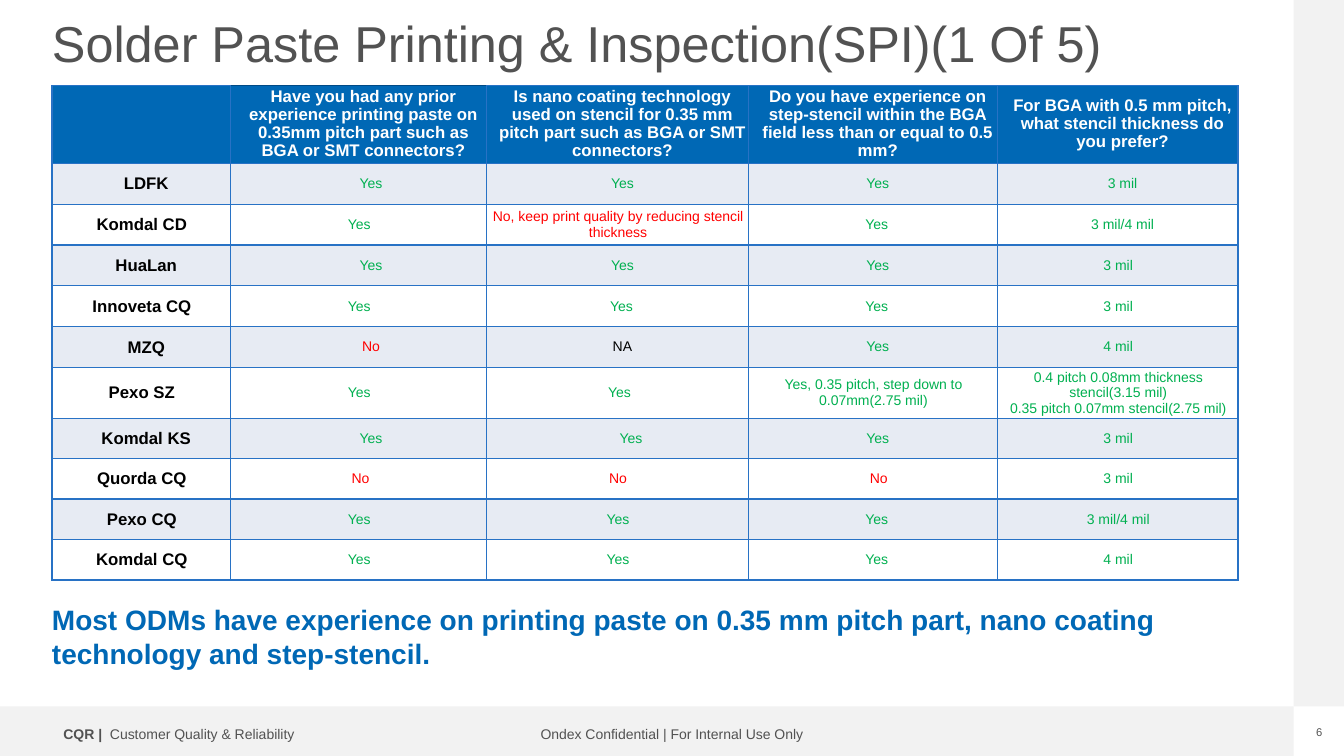
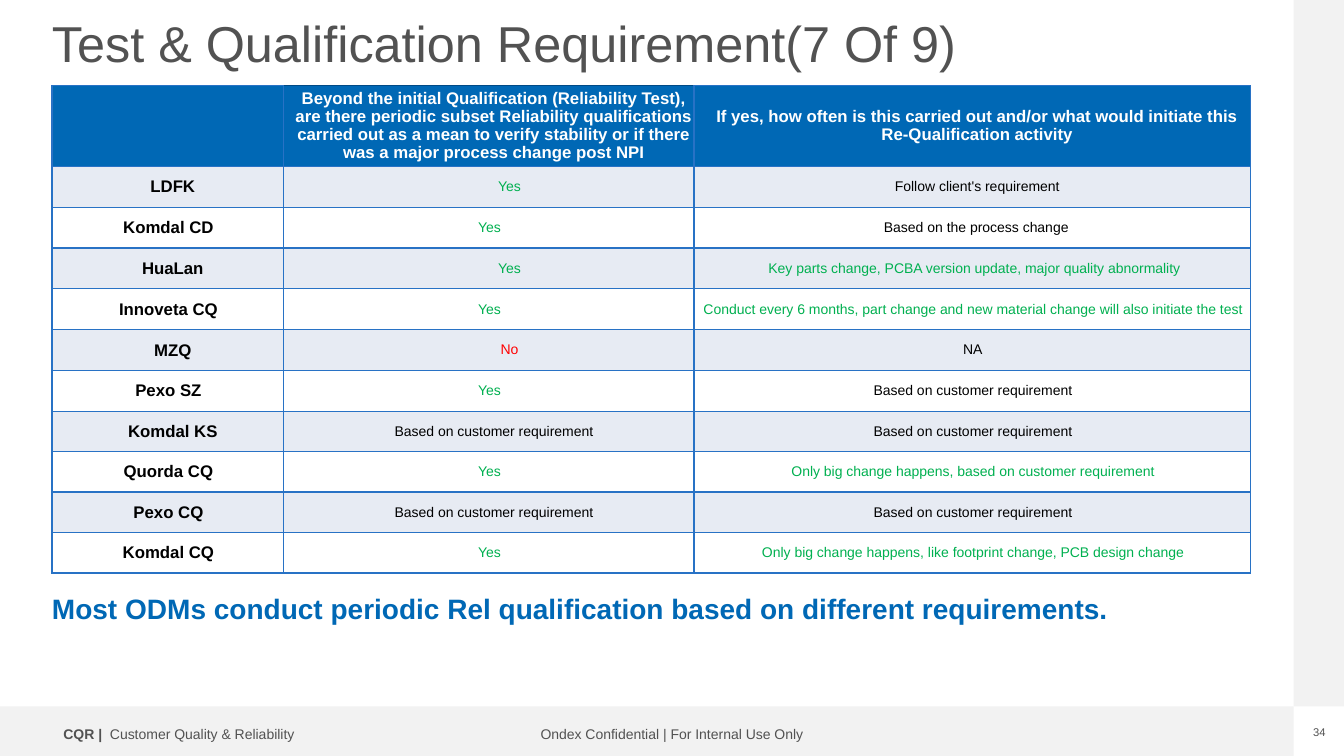
from lxml import etree
from pptx import Presentation
from pptx import util as u
from pptx.dml.color import RGBColor
from pptx.enum import shapes, text
from pptx.oxml import ns

HUES = {
    "ink": "525252", "band": "F2F2F2", "blue": "0068B5", "navy": "004A86",
    "edge": "2872C5", "tint": "E7EBF3", "white": "FFFFFF",
    "k": "000000", "g": "00B050", "r": "FF0000",
}
LEFT = 1.31     # shared left edge of title, table and summary
WIDE, SLIM = 0.25, 0.03     # usual left cell margins


def rgb(hue):
    return RGBColor.from_string(HUES[hue])


class Deck:
    """Holds the style and the current slide."""

    face = "Arial"

    def __init__(self):
        self.prs = Presentation()
        self.prs.slide_width = u.Cm(33.87)
        self.prs.slide_height = u.Cm(19.05)
        self.slide = None

    def style(self, para, hue, **form):
        for run in para.runs:
            for key, val in {"name": self.face, **form}.items():
                setattr(run.font, key, val)
            run.font.color.rgb = rgb(hue)

    def band(self, *box):
        rect = self.slide.shapes.add_shape(
            shapes.MSO_SHAPE.RECTANGLE, *map(u.Cm, box))
        rect.shadow.inherit = False
        rect.fill.solid()
        rect.fill.fore_color.rgb = rgb("band")
        rect.line.fill.background()

    def label(self, box, runs, size, hue="ink", wrap=True, line=1.0,
              align="LEFT"):
        """Add a text box; runs are (words, bold) pairs."""
        frame = self.slide.shapes.add_textbox(*map(u.Cm, box)).text_frame
        form = {"word_wrap": wrap, "margin_left": 0, "margin_right": 0,
                "margin_top": 0, "margin_bottom": 0}
        for key, val in form.items():
            setattr(frame, key, val)
        para = frame.paragraphs[0]
        para.alignment = text.PP_ALIGN[align]
        para.line_spacing = line
        for words, bold in runs:
            run = para.add_run()
            run.text = words
            run.font.bold = bold
        self.style(para, hue, size=u.Pt(size))

    def page(self, title, num):
        """Start a slide with its title, bands and footer."""
        self.slide = self.prs.slides.add_slide(self.prs.slide_layouts[6])
        self.band(0, 17.8, 32.6, 1.25)
        self.band(32.6, 0, 1.27, 17.8)
        foot = {"size": 10, "wrap": False, "line": 0.9}
        self.label((11.93, 18.34, 10, 0.4),
                   [("Ondex Confidential | For Internal Use Only", False)],
                   align="CENTER", **foot)
        self.label((1.6, 18.34, 8, 0.4),
                   [("CQR | ", True), (" Customer Quality & Reliability", False)],
                   **foot)
        self.label((32.75, 18.29, 1, 0.33), [(num, False)], 8,
                   wrap=False, align="CENTER")
        self.label((LEFT, 0.48, 30.58, 2.64), [(title, False)], 36, line=0.9)

    def close(self, top, words):
        self.label((LEFT, top, 30.58, 1.8), [(words, True)], 20, "blue")

    def edge(self, cell, top):
        props = cell._tc.get_or_add_tcPr()
        for side in "LRTB":
            line = etree.SubElement(props, ns.qn("a:ln" + side), w="12700")
            fill = etree.SubElement(line, ns.qn("a:solidFill"))
            hue = top if side == "T" else "edge"
            etree.SubElement(fill, ns.qn("a:srgbClr"), val=HUES[hue])

    def cell(self, cell, words, pad, fill, hue, top="edge", line=1.0, **form):
        self.edge(cell, top)
        cell.fill.solid()
        cell.fill.fore_color.rgb = rgb(fill)
        rule = {"margin_left": u.Cm(pad), "margin_right": 0, "margin_top": 0,
                "margin_bottom": 0, "vertical_anchor": text.MSO_ANCHOR.MIDDLE}
        for key, val in rule.items():
            setattr(cell, key, val)
        cell.text_frame.text = words
        for para in cell.text_frame.paragraphs:
            para.alignment = text.PP_ALIGN.CENTER
            para.line_spacing = line
            self.style(para, hue, **form)

    def table(self, cols, highs, heads, rows):
        """Add a table; a row is (left margins, answer hues, words)."""
        grid = self.slide.shapes.add_table(
            len(highs), len(cols), u.Cm(LEFT), u.Cm(2.16),
            u.Cm(sum(cols)), u.Cm(sum(highs))).table
        grid.first_row = grid.horz_banding = False
        for col, wide in zip(grid.columns, cols):
            col.width = u.Cm(wide)
        for row, high in zip(grid.rows, highs):
            row.height = u.Cm(high)
        # Header
        for c, words in enumerate(["", *heads]):
            self.cell(grid.cell(0, c), words, WIDE, "blue", "white",
                      top="navy" if c == 1 else "edge", line=0.96,
                      size=u.Pt(12), bold=True)
        # Makers and answers
        for r, (pads, hues, words) in enumerate(rows, 1):
            fill = "tint" if r % 2 else "white"
            for c, (pad, hue, word) in enumerate(zip(pads, "k" + hues, words)):
                self.cell(grid.cell(r, c), word, pad, fill, hue,
                          size=u.Pt(10 if c else 12), bold=c == 0)


MAKERS = ["LDFK", "Komdal CD", "HuaLan", "Innoveta CQ", "MZQ", "Pexo SZ",
          "Komdal KS", "Quorda CQ", "Pexo CQ", "Komdal CQ"]
ASK = "Based on customer requirement"

PASTE = [
    ((0.63, WIDE, WIDE, WIDE), "gggg", ("Yes", "Yes", "Yes", "3 mil")),
    ((SLIM, SLIM, 0.2, WIDE), "grgg",
     ("Yes", "No, keep print quality by reducing stencil thickness", "Yes",
      "3 mil/4 mil")),
    ((0.63, WIDE, WIDE, SLIM), "gggg", ("Yes", "Yes", "Yes", "3 mil")),
    ((SLIM, 0.2, 0.2, SLIM), "gggg", ("Yes", "Yes", "Yes", "3 mil")),
    ((0.63, WIDE, WIDE, SLIM), "rkgg", ("No", "NA", "Yes", "4 mil")),
    ((SLIM, 0.1, SLIM, SLIM), "gggg",
     ("Yes", "Yes", "Yes, 0.35 pitch, step down to 0.07mm(2.75 mil)",
      "0.4 pitch 0.08mm thickness stencil(3.15 mil)\n"
      "0.35 pitch 0.07mm stencil(2.75 mil)")),
    ((0.63, 0.68, WIDE, SLIM), "gggg", ("Yes", "Yes", "Yes", "3 mil")),
    ((0.1, SLIM, 0.3, SLIM), "rrrg", ("No", "No", "No", "3 mil")),
    ((SLIM, SLIM, 0.2, SLIM), "gggg", ("Yes", "Yes", "Yes", "3 mil/4 mil")),
    ((SLIM, SLIM, 0.2, SLIM), "gggg", ("Yes", "Yes", "Yes", "4 mil")),
]

TESTS = [
    ((1.04, WIDE), "gk", ("Yes", "Follow client's requirement")),
    ((SLIM, 0.2), "gk", ("Yes", "Based on the process change")),
    ((1.04, 0.1), "gg",
     ("Yes", "Key parts change, PCBA version update, major quality abnormality")),
    ((SLIM, SLIM), "gg",
     ("Yes", "Conduct every 6 months, part change and new material change "
      "will also initiate the test")),
    ((1.04, SLIM), "rk", ("No", "NA")),
    ((SLIM, SLIM), "gk", ("Yes", ASK)),
    ((WIDE, SLIM), "kk", (ASK, ASK)),
    ((SLIM, SLIM), "gg",
     ("Yes", "Only big change happens, based on customer requirement")),
    ((WIDE, SLIM), "kk", (ASK, ASK)),
    ((SLIM, SLIM), "gg",
     ("Yes", "Only big change happens, like footprint change, PCB design change")),
]


def join(rows):
    """Put the maker and its left margin in front of each row."""
    inset = {0, 2, 4, 6}
    return [((WIDE if r in inset else SLIM, *pads), hues, (MAKERS[r], *words))
            for r, (pads, hues, words) in enumerate(rows)]


def main():
    deck = Deck()

    # Solder paste printing
    deck.page("Solder Paste Printing & Inspection(SPI)(1 Of 5)", "6")
    deck.table(
        [4.5, 6.45, 6.6, 6.27, 6.07],
        [1.88] + [1.03] * 5 + [1.22] + [1.02] * 4,
        ["Have you had any prior experience printing paste on 0.35mm pitch "
         "part such as BGA or SMT connectors?",
         "Is nano coating technology used on stencil for 0.35 mm pitch part "
         "such as BGA or SMT connectors?",
         "Do you have experience on step-stencil within the BGA field less "
         "than or equal to 0.5 mm?",
         "For BGA with 0.5 mm pitch, what stencil thickness do you prefer?"],
        join(PASTE))
    deck.close(15.19, "Most ODMs have experience on printing paste on 0.35 mm "
               "pitch part, nano coating technology and step-stencil.")

    # Test and qualification
    deck.page("Test & Qualification Requirement(7 Of 9)", "34")
    deck.table(
        [5.84, 10.34, 14.02],
        [2.03] + [1.03] * 5 + [1.02] * 5,
        ["Beyond the initial Qualification (Reliability Test), are there "
         "periodic subset Reliability qualifications carried out as a mean to "
         "verify stability or if there was a major process change post NPI",
         "If yes, how often is this carried out and/or what would initiate "
         "this Re-Qualification activity"],
        join(TESTS))
    deck.close(14.91, "Most ODMs conduct periodic Rel qualification based on "
               "different requirements.")

    deck.prs.save("out.pptx")


if __name__ == "__main__":
    main()
